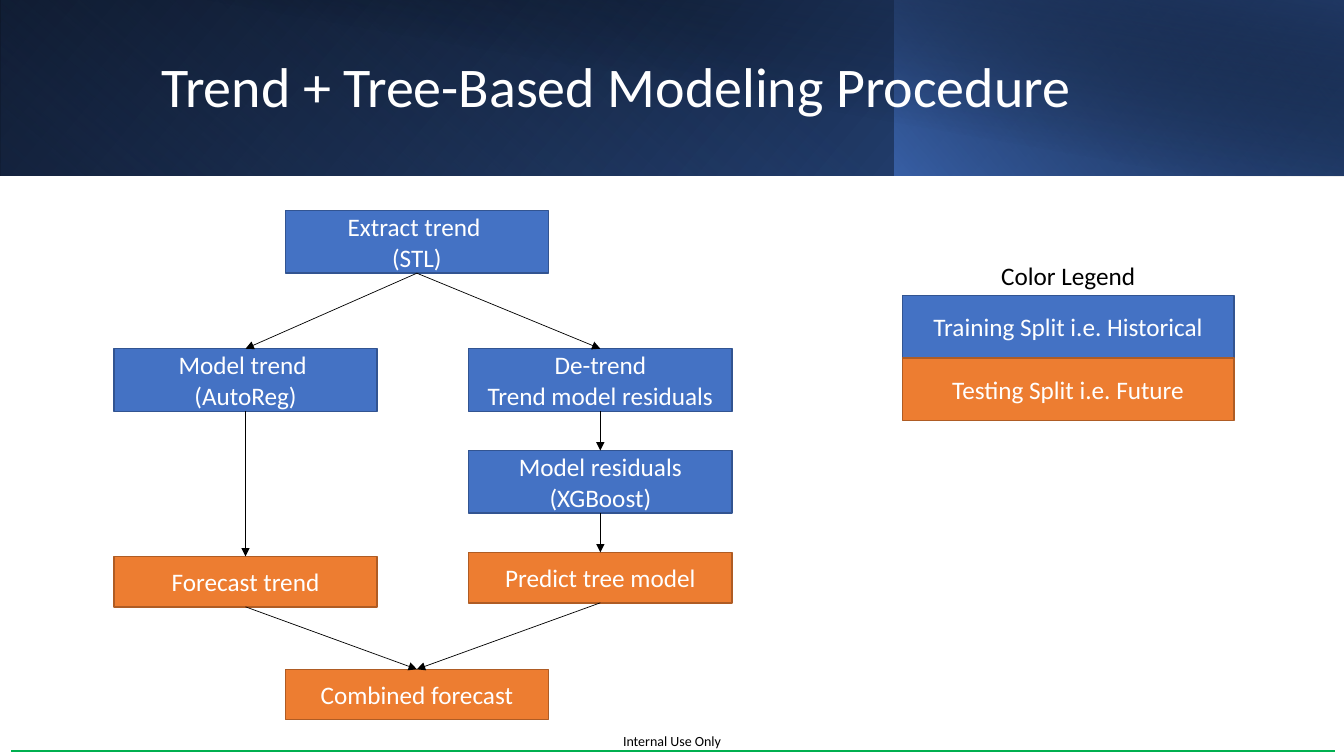
from lxml.etree import SubElement as Sub
from pptx import Presentation
from pptx.dml.color import RGBColor as Rgb
from pptx.enum.shapes import MSO_CONNECTOR as Link, MSO_SHAPE as Kind
from pptx.enum.text import MSO_ANCHOR as Anchor, MSO_AUTO_SIZE as Fit, PP_ALIGN as Align
from pptx.oxml.ns import qn
from pptx.util import Inches, Pt

BLACK = Rgb(0, 0, 0)
WHITE = Rgb(0xFF, 0xFF, 0xFF)
BLUE = Rgb(0x44, 0x72, 0xC4)
EDGE = Rgb(0x32, 0x54, 0x91)
ROYAL = Rgb(0x2F, 0x55, 0x97)
NAVY = Rgb(0x20, 0x38, 0x64)
ORANGE = Rgb(0xED, 0x7D, 0x31)
RUST = Rgb(0xAF, 0x5C, 0x24)
GREEN = Rgb(0x00, 0xB0, 0x50)
TRAIN = (BLUE, EDGE)
TEST = (ORANGE, RUST)


class Deck:
    font = "Calibri"
    size = 18

    def __init__(self):
        self.pres = Presentation()
        self.pres.slide_width = Inches(13.33)
        self.pres.slide_height = Inches(7.5)
        self.slide = self.pres.slides.add_slide(self.pres.slide_layouts[5])
        self.shapes = self.slide.shapes

    def col(self, share):
        return round(self.pres.slide_width * share / 100)

    def row(self, share):
        return round(self.pres.slide_height * share / 100)

    def area(self, left, top, width, height):
        return self.col(left), self.row(top), self.col(width), self.row(height)

    def words(self, frame, lines, color, size=size, align=Align.CENTER):
        frame.word_wrap = True
        for i, line in enumerate(lines):
            para = frame.add_paragraph() if i else frame.paragraphs[0]
            para.alignment = align
            run = para.add_run()
            run.text = line
            run.font.name = self.font
            run.font.size = Pt(size)
            run.font.color.rgb = color

    def rect(self, *area):
        shape = self.shapes.add_shape(Kind.RECTANGLE, *self.area(*area))
        shape.shadow.inherit = False
        return shape

    def band(self, area, angle, stops, turn=0):
        shape = self.rect(*area)
        shape.line.fill.background()
        shape.rotation = turn
        shape.fill.background()
        props = shape.element.spPr
        blank = props.find(qn("a:noFill"))
        grad = props.makeelement(qn("a:gradFill"), {"rotWithShape": "1"})
        props.replace(blank, grad)
        group = Sub(grad, qn("a:gsLst"))
        for place, color, solid in stops:
            stop = Sub(group, qn("a:gs"), pos=str(place * 1000))
            tint = Sub(stop, qn("a:srgbClr"), val=str(color))
            Sub(tint, qn("a:alpha"), val=str(solid * 1000))
        Sub(grad, qn("a:lin"), ang=str(angle * 60000), scaled="0")
        return shape

    def flip(self, shape):
        shape.element.spPr.find(qn("a:xfrm")).set("flipH", "1")

    def title(self, text, *area):
        shape = self.shapes.title
        shape.left, shape.top, shape.width, shape.height = self.area(*area)
        shape.element.getparent().append(shape.element)
        frame = shape.text_frame
        frame.auto_size = Fit.NONE
        frame.vertical_anchor = Anchor.MIDDLE
        self.words(frame, [text], WHITE, 40, Align.LEFT)
        frame.paragraphs[0].line_spacing = 0.9

    def box(self, lines, style, *area):
        shape = self.rect(*area)
        fill, edge = style
        shape.fill.solid()
        shape.fill.fore_color.rgb = fill
        shape.line.color.rgb = edge
        shape.line.width = Pt(1)
        shape.text_frame.vertical_anchor = Anchor.MIDDLE
        self.words(shape.text_frame, lines, WHITE)
        return shape

    def label(self, text, size, *area):
        frame = self.shapes.add_textbox(*self.area(*area)).text_frame
        self.words(frame, [text], BLACK, size)
        return frame

    def line(self, color, width, *ends):
        link = self.shapes.add_connector(Link.STRAIGHT, *self.area(*ends))
        link.line.color.rgb = color
        link.line.width = Pt(width)
        Sub(link.element.spPr, qn("a:effectLst"))
        return link

    def arrow(self, start, end):
        link = self.line(BLACK, 0.5, 0, 0, 0, 0)
        link.begin_connect(start, 2)
        link.end_connect(end, 0)
        Sub(link.element.spPr.find(qn("a:ln")), qn("a:tailEnd"), type="triangle")


def main():
    deck = Deck()

    frame = deck.label("Internal Use Only", 10, 45.16, 96.13, 9.68, 3.87)
    frame.vertical_anchor = Anchor.MIDDLE
    frame.margin_left = frame.margin_right = 0
    frame.margin_top = frame.margin_bottom = 0

    deep, split = 23.2, 66.57
    bands = [
        ((0, 0, 100, deep), 140, [(0, BLACK, 100), (100, ROYAL, 100)], 0),
        ((0, 0, split, deep), 230, [(20, BLUE, 0), (100, NAVY, 55)], 180),
        ((split, 0, 100 - split, deep), 220, [(0, BLUE, 66), (100, BLACK, 30)], 0),
    ]
    for band in bands:
        deck.flip(deck.band(*band))
    deck.band((3.75, 0, 96.25, deep + 0.13), 280, [(50, BLACK, 0), (99, NAVY, 52)])
    deck.title("Trend + Tree-Based Modeling Procedure", 11.25, 4.27, 81.17, 15.07)

    left, mid, right, wide = 8.48, 21.23, 34.88, 19.58
    tall, low = 8.27, 6.67
    top, step = 46.13, 13.47
    tasks = {
        "extract": (["Extract trend ", "(STL)"], TRAIN, mid, 27.87, wide, tall),
        "trend": (["Model trend ", "(AutoReg)"], TRAIN, left, top, wide, tall),
        "detrend": (["De-trend", "Trend model residuals"], TRAIN, right, top, wide, tall),
        "resid": (["Model residuals (XGBoost)"], TRAIN, right, top + step, wide, tall),
        "cast": (["Forecast trend"], TEST, left, 73.6, wide, low),
        "tree": (["Predict tree model"], TEST, right, top + 2 * step, wide, low),
        "final": (["Combined forecast"], TEST, mid, 88.53, wide, low),
    }
    nodes = {name: deck.box(*task) for name, task in tasks.items()}
    flows = [
        ("extract", "trend"), ("extract", "detrend"), ("trend", "cast"),
        ("detrend", "resid"), ("resid", "tree"), ("tree", "final"), ("cast", "final"),
    ]
    for start, end in flows:
        deck.arrow(nodes[start], nodes[end])

    keys = [("Training Split i.e. Historical", TRAIN), ("Testing Split i.e. Future", TEST)]
    for i, (text, style) in enumerate(keys):
        deck.box([text], style, 67.14, 39.07 + i * tall, 24.68, tall)
    deck.label("Color Legend", deck.size, 72.99, 33.73, 12.98, 5.33)
    deck.line(GREEN, 2, 0.83, 99.33, 99.32, 99.33)

    deck.pres.save("out.pptx")


if __name__ == "__main__":
    main()
